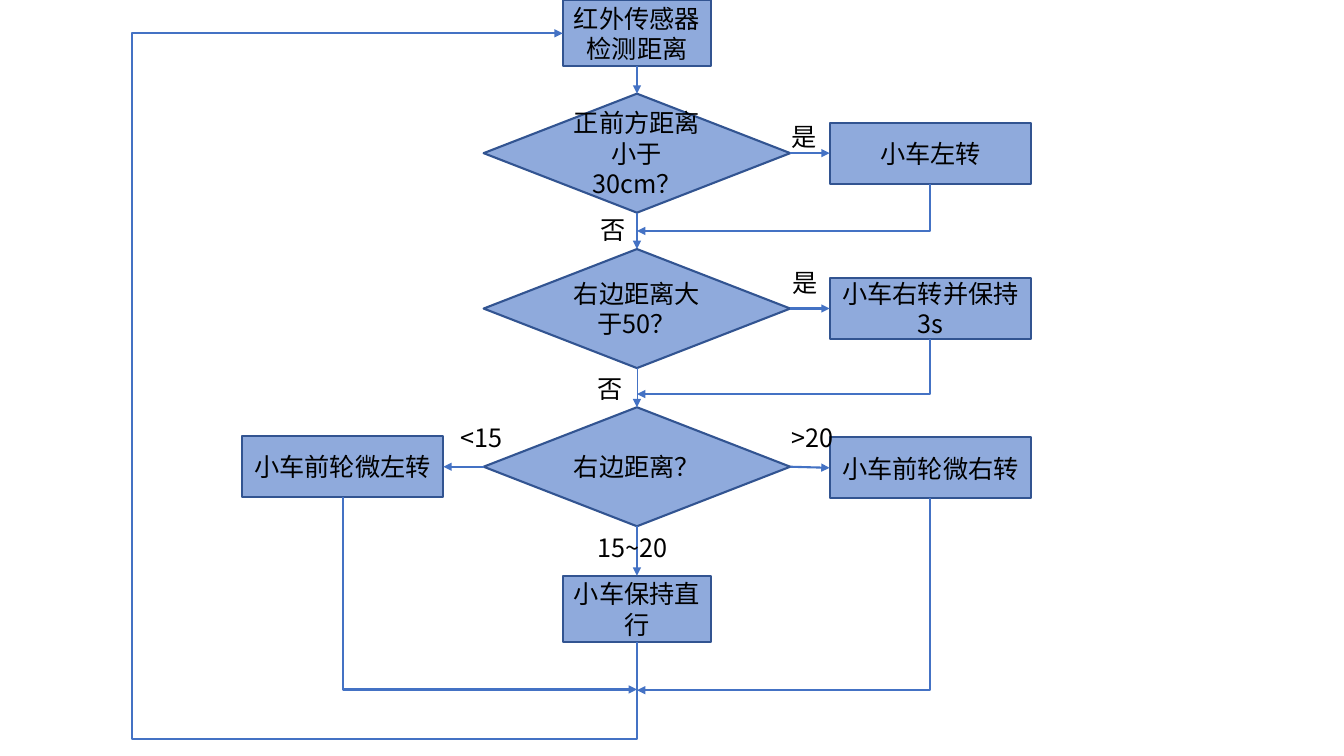
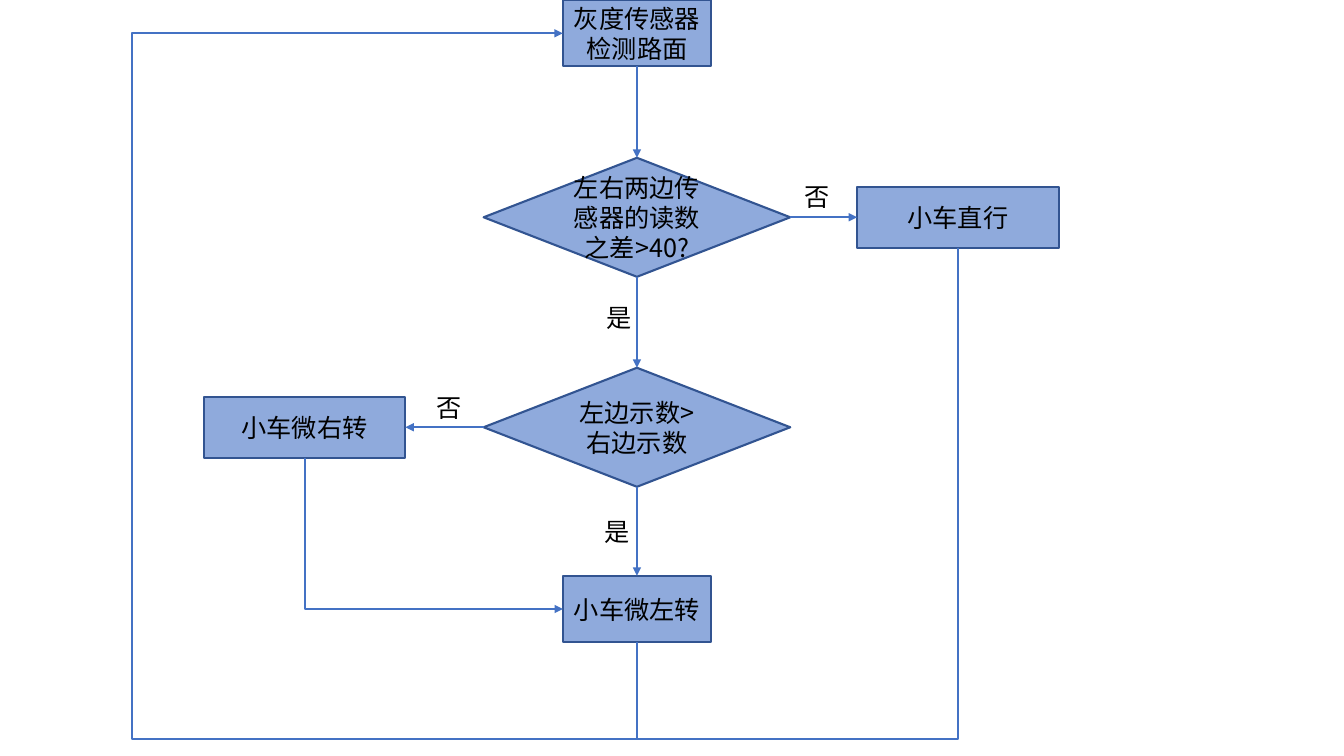
"""Build two flow charts that steer a small car."""
from lxml.etree import SubElement
from pptx import Presentation
from pptx.dml.color import RGBColor
from pptx.enum.shapes import MSO_CONNECTOR, MSO_SHAPE
from pptx.enum.text import MSO_ANCHOR, MSO_AUTO_SIZE, PP_ALIGN
from pptx.oxml.ns import qn
from pptx.util import Pt

FILL, EDGE, WIRE, INK = "8FAADC", "325491", "4472C4", "000000"
FACE = "Noto Sans CJK SC"
TYPE = {"name": FACE, "size": Pt(18)}
NOTE = {"word_wrap": False, "auto_size": MSO_AUTO_SIZE.SHAPE_TO_FIT_TEXT}
BODY = {"word_wrap": True, "vertical_anchor": MSO_ANCHOR.MIDDLE}
STEP = (MSO_SHAPE.RECTANGLE, 106, 47.5)
SIDE = (MSO_SHAPE.RECTANGLE, 144, 43.5)
TEST = (MSO_SHAPE.FLOWCHART_DECISION, 219, 85)
TOP, LEFT, FOOT, RIGHT = range(4)
MID, HEAD, LAST = 455, 23.75, 435
BACK, BASE = 94.3, 528


def hue(code):
    """Turn a hex string into a colour."""
    return RGBColor.from_string(code)


def put(item, vals):
    """Set every attribute named in a dict."""
    for key, val in vals.items():
        setattr(item, key, val)


class Chart:
    """Hold the deck, its style and the current slide."""

    def __init__(self):
        """Start a wide deck."""
        self.deck = Presentation()
        put(self.deck, {"slide_width": Pt(960), "slide_height": Pt(540)})

    def page(self):
        """Open a blank slide."""
        self.slide = self.deck.slides.add_slide(self.deck.slide_layouts[6])
        self.shapes = self.slide.shapes

    def word(self, shape, text, frame, align):
        """Put styled text in a shape."""
        put(shape.text_frame, frame)
        para = shape.text_frame.paragraphs[0]
        para.alignment = align
        run = para.add_run()
        run.text = text
        put(run.font, TYPE)
        run.font.color.rgb = hue(INK)
        SubElement(run.font._element, qn("a:ea"), typeface=FACE)

    def stroke(self, line, code, width):
        """Colour and size a line."""
        line.color.rgb = hue(code)
        line.width = Pt(width)

    def node(self, kind, x, y, text):
        """Draw a filled shape centred on a point."""
        form, wide, high = kind
        shape = self.shapes.add_shape(
            form, Pt(x - wide / 2), Pt(y - high / 2), Pt(wide), Pt(high))
        shape.shadow.inherit = False
        shape.fill.solid()
        shape.fill.fore_color.rgb = hue(FILL)
        self.stroke(shape.line, EDGE, 1.5)
        self.word(shape, text, BODY, PP_ALIGN.CENTER)
        return shape

    def label(self, x, y, text, wide=32.4):
        """Set a note beside an arrow."""
        box = self.shapes.add_textbox(Pt(x), Pt(y), Pt(wide), Pt(29))
        self.word(box, text, NOTE, PP_ALIGN.LEFT)

    def wire(self, kind, x, y, end, low, width=1.5, tip=True):
        """Draw a connector without shadow."""
        line = self.shapes.add_connector(kind, Pt(x), Pt(y), Pt(end), Pt(low))
        self.stroke(line.line, WIRE, width)
        props = line.element.spPr
        if tip:
            SubElement(props.find(qn("a:ln")), qn("a:tailEnd"), type="triangle")
        SubElement(props, qn("a:effectLst"))
        return line

    def link(self, first, out, then, into, width=1.5):
        """Glue a straight arrow between two nodes."""
        line = self.wire(MSO_CONNECTOR.STRAIGHT, 0, 0, 0, 0, width)
        line.begin_connect(first, out)
        line.end_connect(then, into)

    def bend(self, node, end, low, low_via=None, end_via=None, tip=True):
        """Draw an elbow that leaves the foot of a node."""
        x = (node.left + node.width / 2) / Pt(1)
        y = (node.top + node.height) / Pt(1)
        wide, high = abs(low - y), abs(end - x)
        left, top = (x + end - wide) / 2, (y + low - high) / 2
        line = self.wire(MSO_CONNECTOR.ELBOW, left, top,
                         left + wide, top + high, tip=tip)
        props = line.element.spPr
        frame = props.find(qn("a:xfrm"))
        frame.set("rot", str((90 if end < x else 270) * 60000))
        if (low > y) != (end < x):
            frame.set("flipH", "1")
        turns = []
        if low_via is not None:
            turns.append((low_via - y) / (low - y))
        if end_via is not None:
            turns.append((end_via - x) / (end - x))
        form = props.find(qn("a:prstGeom"))
        form.set("prst", f"bentConnector{2 + len(turns)}")
        for spot, turn in enumerate(turns, 1):
            SubElement(form.find(qn("a:avLst")), qn("a:gd"), name=f"adj{spot}",
                       fmla=f"val {round(turn * 100000)}")

    def loop(self, last, first):
        """Lead the last step back to the first."""
        self.bend(last, first.left.pt, HEAD, BASE, BACK)


def range_flow(art):
    """Draw the distance chart."""
    art.page()
    sense = art.node(STEP, MID, HEAD, "红外传感器检测距离")
    front = art.node(TEST, MID, 109.4, "正前方距离小于30cm？")
    wide = art.node(TEST, MID, 220.4, "右边距离大于50？")
    near = art.node(TEST, MID, 333.4, "右边距离？")
    turn = art.node(SIDE, 664.6, 109.4, "小车左转")
    hold = art.node(SIDE, 664.6, 220.4, "小车右转并保持3s")
    right = art.node(SIDE, 664.6, 334.2, "小车前轮微右转")
    left = art.node(SIDE, 244.7, 333.4, "小车前轮微左转")
    ahead = art.node(STEP, MID, LAST, "小车保持直行")
    art.link(sense, FOOT, front, TOP)
    art.link(front, FOOT, wide, TOP)
    art.link(wide, FOOT, near, TOP, 0.5)
    art.link(near, FOOT, ahead, TOP)
    for test, side in ((front, turn), (wide, hold), (near, right)):
        art.link(test, RIGHT, side, LEFT)
    art.link(near, LEFT, left, RIGHT)
    for side, low in ((turn, 165), (hold, 281.5), (left, 492.5), (right, 493)):
        art.bend(side, MID, low)
    art.loop(ahead, sense)
    for x, y, text in ((558, 82.8, "是"), (559, 187.2, "是"),
                       (422, 149.8, "否"), (420, 262.8, "否")):
        art.label(x, y, text)
    art.label(558, 298, ">20", 46)
    art.label(322, 298, "<15", 46)
    art.label(420, 377, "15~20", 65)


def road_flow(art):
    """Draw the road chart."""
    art.page()
    sense = art.node(STEP, MID, HEAD, "灰度传感器检测路面")
    gap = art.node(TEST, MID, 155.2, "左右两边传感器的读数之差>40?")
    more = art.node(TEST, MID, 305.2, "左边示数>右边示数")
    ahead = art.node(SIDE, 684.2, 155.2, "小车直行")
    right = art.node(SIDE, 217.6, 305.2, "小车微右转")
    left = art.node(STEP, MID, LAST, "小车微左转")
    art.link(sense, FOOT, gap, TOP)
    art.link(gap, FOOT, more, TOP)
    art.link(more, FOOT, left, TOP)
    art.link(gap, RIGHT, ahead, LEFT)
    art.link(more, LEFT, right, RIGHT)
    art.bend(right, left.left.pt, LAST)
    art.loop(left, sense)
    art.bend(ahead, MID, 525.6, BASE, tip=False)
    for x, y, text in ((426, 212.4, "是"), (567.4, 126, "否"),
                       (304.6, 276.5, "否"), (425, 365, "是")):
        art.label(x, y, text)


art = Chart()
range_flow(art)
road_flow(art)
art.deck.save("out.pptx")
